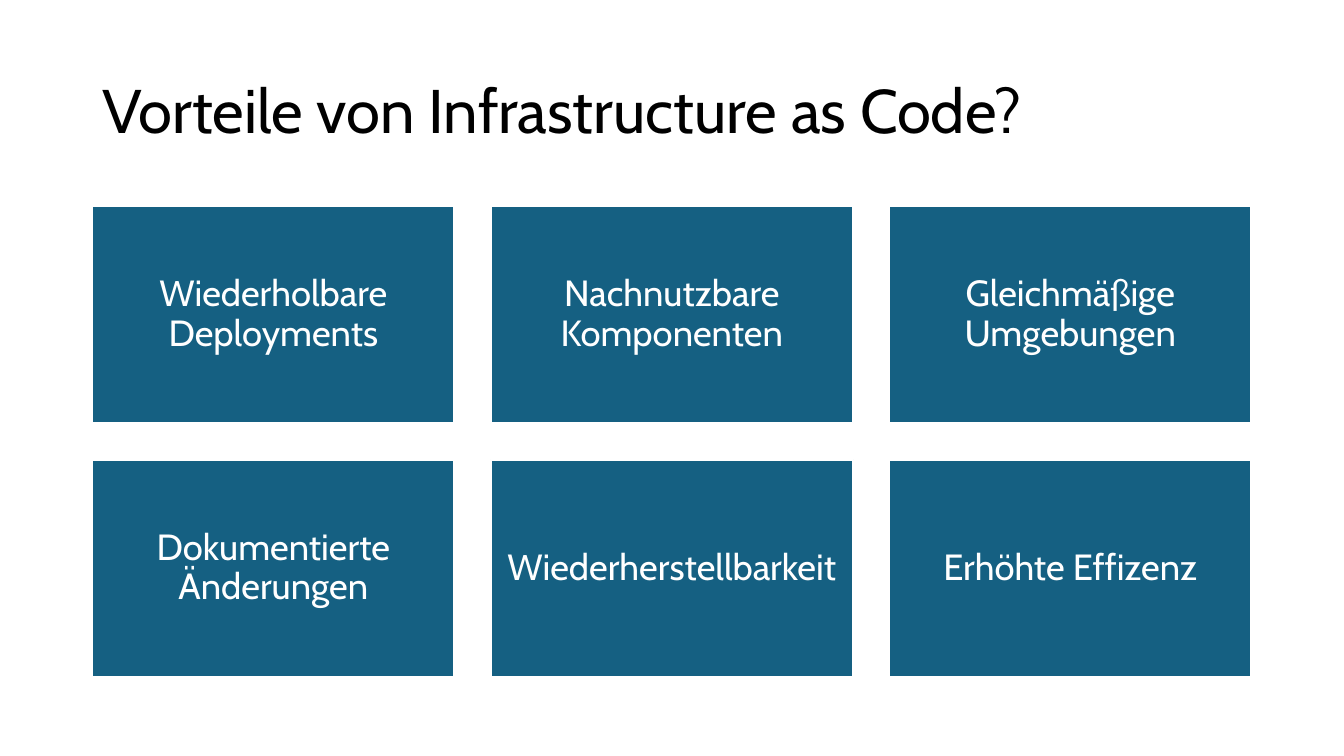
import pptx
import pptx.dml.color
import pptx.enum.shapes
import pptx.enum.text
import pptx.util

Pt = pptx.util.Pt
FONT = "Cabin"
COLORS = {"title": "000000", "tile": "156082", "tile_text": "FFFFFF", "tile_line": "FFFFFF"}
BENEFITS = [
    "Wiederholbare Deployments",
    "Nachnutzbare Komponenten",
    "Gleichmäßige Umgebungen",
    "Dokumentierte Änderungen",
    "Wiederherstellbarkeit",
    "Erhöhte Effizenz",
]


def color(name):
    """Return the named colour as an RGB value."""
    return pptx.dml.color.RGBColor.from_string(COLORS[name])


def format_text(text_frame, size, color_name, alignment):
    """Format the text of a frame, centred vertically."""
    text_frame.word_wrap = True
    text_frame.vertical_anchor = pptx.enum.text.MSO_ANCHOR.MIDDLE
    for paragraph in text_frame.paragraphs:
        paragraph.alignment = alignment
        paragraph.line_spacing = 0.9
        for run in paragraph.runs:
            run.font.name = FONT
            run.font.size = Pt(size)
            run.font.color.rgb = color(color_name)


def add_title(slide, text, left, top, width, height):
    """Place and format the title placeholder in its box."""
    title = slide.shapes.title
    title.left, title.top, title.width, title.height = map(Pt, (left, top, width, height))
    title.text_frame.text = text
    format_text(title.text_frame, 44, "title", pptx.enum.text.PP_ALIGN.LEFT)


def add_tile(slide, text, left, top, width, height):
    """Add one filled tile with centred text."""
    tile = slide.shapes.add_shape(
        pptx.enum.shapes.MSO_SHAPE.RECTANGLE, *map(Pt, (left, top, width, height)))
    tile.shadow.inherit = False
    tile.fill.solid()
    tile.fill.fore_color.rgb = color("tile")
    tile.line.color.rgb = color("tile_line")
    tile.line.width = Pt(1.5)
    text_frame = tile.text_frame
    text_frame.margin_left = text_frame.margin_right = Pt(7.8)
    text_frame.margin_top = text_frame.margin_bottom = Pt(7.8)
    text_frame.text = text
    format_text(text_frame, 26, "tile_text", pptx.enum.text.PP_ALIGN.CENTER)


def add_tile_grid(slide, texts, left, top, width, height, columns=3, gap=25.9):
    """Divide the box into equal tiles, filled row by row."""
    rows = -(-len(texts) // columns)
    tile_width = (width - gap * (columns - 1)) / columns
    tile_height = (height - gap * (rows - 1)) / rows
    for index, text in enumerate(texts):
        row, column = divmod(index, columns)
        add_tile(slide, text, left + column * (tile_width + gap),
                 top + row * (tile_height + gap), tile_width, tile_height)


def build_benefits_slide(presentation):
    """Add the slide with the title and the grid of benefits."""
    slide = presentation.slides.add_slide(presentation.slide_layouts.get_by_name("Title Only"))
    add_title(slide, "Vorteile von Infrastructure as Code?", 66, 28.75, 828, 104.4)
    add_tile_grid(slide, BENEFITS, 66, 147.1, 828, 336.4)


presentation = pptx.Presentation()
presentation.slide_width = Pt(960)
presentation.slide_height = Pt(540)
build_benefits_slide(presentation)
presentation.save("out.pptx")
